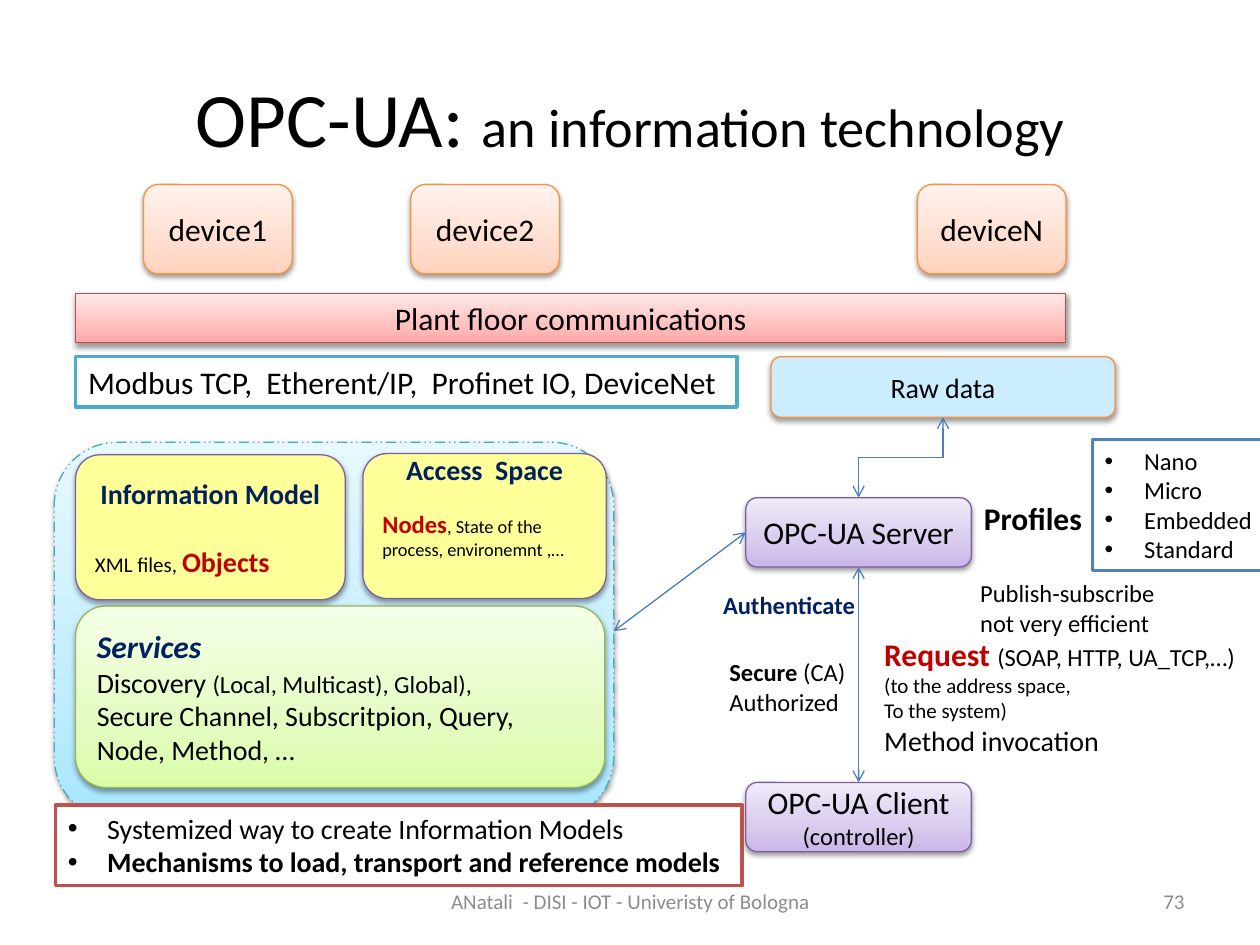
from dataclasses import dataclass

from lxml import etree
from pptx import Presentation
from pptx.dml.color import RGBColor
from pptx.enum.dml import MSO_LINE
from pptx.enum.shapes import MSO_CONNECTOR, MSO_SHAPE
from pptx.enum.text import MSO_ANCHOR, MSO_AUTO_SIZE, PP_ALIGN
from pptx.oxml.ns import qn
from pptx.util import Pt

LEFT, CENTER, RIGHT = PP_ALIGN.LEFT, PP_ALIGN.CENTER, PP_ALIGN.RIGHT
TOP, MIDDLE = MSO_ANCHOR.TOP, MSO_ANCHOR.MIDDLE
ROUNDED, RECTANGLE = MSO_SHAPE.ROUNDED_RECTANGLE, MSO_SHAPE.RECTANGLE
STRAIGHT, ELBOW = MSO_CONNECTOR.STRAIGHT, MSO_CONNECTOR.ELBOW
DASH_DOT_DOT = MSO_LINE.DASH_DOT_DOT
FIT_SHAPE, FIXED_SIZE = MSO_AUTO_SIZE.SHAPE_TO_FIT_TEXT, MSO_AUTO_SIZE.NONE


@dataclass(frozen=True)
class Theme:
    font: str = "Calibri"
    black: str = "000000"
    white: str = "FFFFFF"
    navy: str = "002060"
    red: str = "C00000"
    grey: str = "8C8C8C"
    arrow: str = "4B7EBC"
    orange_line: str = "F69240"
    purple_line: str = "7D60A0"
    sky: str = "CCECFF"
    yellow: str = "FFFF99"
    # Gradients run from the bottom to the top of a box.
    peach: tuple = ("FFD2BD", "FFDED0", "FFF2ED")
    rose: tuple = ("FFA6A5", "FFC0BF", "FFE7E7")
    blue: tuple = ("A7E6FF", "C1EDFF", "E7F8FF")
    purple: tuple = ("C9B5E8", "D8CBEE", "F0EAF9")
    green: tuple = ("DAFDA7", "E4FCC2", "F5FFE7")
    title: float = 44
    subtitle: float = 31
    large: float = 18
    body: float = 16
    small: float = 14
    note: float = 12
    tiny: float = 10.5
    thin: float = 0.75
    thick: float = 2


T = Theme()
GRADIENT_STOPS = (0, 35, 100)
BULLET_INDENT = 22.5
BREAK = ("\v",)

# A run is (text, size, colour, style); a paragraph is a list of runs.
TITLE = [[("OPC-UA: ", T.title), ("an information technology", T.subtitle)]]
DEVICES = [("device1", 82), ("device2", 234.7), ("deviceN", 524.2)]
DEVICE_TOP, DEVICE_SIZE = 105.4, (85, 51.1)
SERVER = (426.2, 284.4, 128.9, 39.6)
CLIENT = (426.2, 447.1, 128.9, 39.6)
RAW_DATA = (440.6, 203.8, 196.6, 34.6)
MODEL_AREA = (31, 252.7, 319.7, 216)

# (box, preset, fill, line colour, paragraphs, extra settings)
BOXES = [
    ((x, DEVICE_TOP, *DEVICE_SIZE), ROUNDED, T.peach, T.orange_line,
     [[(device, T.large)]], {}) for device, x in DEVICES
] + [
    ((43.2, 167.8, 565.9, 28.1), RECTANGLE, T.rose, "BF4C48",
     [[("Plant floor communications", T.large)]], {}),
    (RAW_DATA, ROUNDED, T.sky, T.orange_line, [[("Raw data", T.body)]], {}),
    (MODEL_AREA, ROUNDED, T.blue, "46AAC5", [], {"dash": DASH_DOT_DOT}),
    (SERVER, ROUNDED, T.purple, T.purple_line, [[("OPC-UA Server", T.large)]], {}),
    (CLIENT, ROUNDED, T.purple, T.purple_line,
     [[("OPC-UA Client", T.large)], [("(controller)", T.small)]], {}),
    ((43.2, 346.3, 302.4, 103.7), ROUNDED, T.green, "98B955",
     [[("Services", T.large, T.navy, "bi")],
      [("Discovery ", T.body), ("(Local, Multicast), Global),", T.small)],
      [("Secure Channel, Subscritpion, Query, ", T.body), BREAK,
       ("Node, Method, …", T.body)]],
     {"aligns": [LEFT, LEFT, LEFT]}),
    ((43.2, 259.9, 154.1, 82.8), ROUNDED, T.yellow, T.purple_line,
     [[("Information Model", T.body, T.navy, "b")],
      [("XML files, ", T.note), ("Objects", T.body, T.red, "b")]],
     {"aligns": [CENTER, LEFT], "gap": 19.5}),
    ((207.4, 259.2, 139, 82.8), ROUNDED, T.yellow, T.purple_line,
     [[("Access  Space", T.body, T.navy, "b")],
      [("Nodes", T.small, T.red, "b"),
       (", State of the process, environemnt ,…", T.tiny)]],
     {"aligns": [CENTER, LEFT], "gap": 12.8, "bottom": 25.6}),
]

# (box, paragraphs, frame colour, bulleted)
LABELS = [
    ((43.2, 203.8, 378, 28.8),
     [[("Modbus TCP,  Etherent/IP,  Profinet IO, DeviceNet", T.large)]], "4BACC6", False),
    ((555.1, 281.5, 71.3, 28.8), [[("Profiles", T.large, T.black, "b")]], None, False),
    ((498.2, 359.3, 215.3, 77.8),
     [[("Request ", T.large, T.red, "b"), ("(SOAP, HTTP, UA_TCP,…)", T.small)],
      [("(to the address space,", T.note)],
      [("To the system)", T.note)],
      [("Method invocation", T.body)]], None, False),
    ((553, 326.9, 121.7, 41),
     [[("Publish-subscribe", T.small)], [("not very efficient", T.small)]], None, False),
    ((406.1, 333.4, 90.7, 24.5), [[("Authenticate", T.small, T.navy, "b")]], None, False),
    ((409.7, 372.2, 80.6, 41),
     [[("Secure", T.small, T.black, "b"), (" (CA)", T.small)],
      [("Authorized", T.small)]], None, False),
    ((624.2, 251.3, 99.4, 74.9),
     [[(profile, T.small)] for profile in ("Nano", "Micro", "Embedded", "Standard")],
     "4F81BD", True),
    ((31.7, 460.1, 392.4, 46.1),
     [[("Systemized way to create Information Models", T.body)],
      [("Mechanisms to load, transport and reference models", T.body, T.black, "b")]],
     "C0504D", True),
]
FOOTERS = [
    ((246.2, 500.4, 228.2, 28.8), "ANatali  - DISI - IOT - Univeristy of Bologna", CENTER),
    ((516.2, 500.4, 167.8, 28.8), "73", RIGHT),
]


def points(values):
    return [Pt(value) for value in values]


def style_font(font, size, color=T.black, style=""):
    font.size = Pt(size)
    font.color.rgb = RGBColor.from_string(color)
    font.bold, font.italic = "b" in style, "i" in style


def write(frame, paragraphs, aligns, gap=0, bulleted=False):
    """Fill a text frame; gap is the space above every paragraph but the first."""
    for index, (runs, align) in enumerate(zip(paragraphs, aligns)):
        paragraph = frame.paragraphs[0] if index == 0 else frame.add_paragraph()
        paragraph.alignment = align
        paragraph.font.name = T.font
        if index and gap:
            paragraph.space_before = Pt(gap)
        styles = {tuple(run[1:]) for run in runs if run != BREAK}
        shared = len(styles) == 1
        if shared:
            style_font(paragraph.font, *styles.pop())
        for run in runs:
            if run == BREAK:
                paragraph.add_line_break()
                continue
            piece = paragraph.add_run()
            piece.text = run[0]
            if not shared:
                style_font(piece.font, *run[1:])
        if bulleted:
            properties = paragraph._p.get_or_add_pPr()
            properties.set("marL", str(Pt(BULLET_INDENT)))
            properties.set("indent", str(-Pt(BULLET_INDENT)))
            bullet = etree.Element(qn("a:buChar"), char="•")
            properties.insert(0, bullet)
            bullet.addprevious(etree.Element(qn("a:buFont"), typeface="Arial"))


def paint(shape, fill):
    """Fill with one colour, or with a bottom-to-top gradient of three."""
    if isinstance(fill, str):
        shape.fill.solid()
        shape.fill.fore_color.rgb = RGBColor.from_string(fill)
        return
    shape.fill.gradient()
    shape.fill.gradient_angle = 90
    stops = shape._element.spPr.find(".//" + qn("a:gsLst"))
    for stop in list(stops):
        stops.remove(stop)
    for position, color in zip(GRADIENT_STOPS, fill):
        stop = etree.SubElement(stops, qn("a:gs"), pos=str(position * 1000))
        etree.SubElement(stop, qn("a:srgbClr"), val=color)


def outline(line, color, width):
    line.color.rgb = RGBColor.from_string(color)
    line.width = Pt(width)


def drop_shadow(shape):
    shape.shadow.inherit = False
    effects = shape._element.spPr.find(qn("a:effectLst"))
    shadow = etree.SubElement(effects, qn("a:outerShdw"), blurRad=str(Pt(3.1)),
                              dist=str(Pt(1.6)), dir="5400000", rotWithShape="0")
    color = etree.SubElement(shadow, qn("a:srgbClr"), val=T.black)
    etree.SubElement(color, qn("a:alpha"), val="38000")


def add_box(slide, box, preset, fill, line, paragraphs,
            aligns=None, gap=0, bottom=3.6, dash=None):
    shape = slide.shapes.add_shape(preset, *points(box))
    paint(shape, fill)
    outline(shape.line, line, T.thin)
    if dash:
        shape.line.dash_style = dash
    drop_shadow(shape)
    frame = shape.text_frame
    frame.word_wrap, frame.vertical_anchor = True, MIDDLE
    frame.margin_bottom = Pt(bottom)
    write(frame, paragraphs, aligns or [CENTER] * len(paragraphs), gap)


def add_label(slide, box, paragraphs, border=None, bulleted=False,
              align=LEFT, anchor=TOP, fit=True):
    label = slide.shapes.add_textbox(*points(box))
    if border:
        paint(label, T.white)
        outline(label.line, border, T.thick)
    frame = label.text_frame
    frame.word_wrap, frame.vertical_anchor = not fit, anchor
    frame.auto_size = FIT_SHAPE if fit else FIXED_SIZE
    write(frame, paragraphs, [align] * len(paragraphs), bulleted=bulleted)


def add_arrow(slide, kind, start, end):
    """Draw a two-headed arrow; an elbow leaves its start vertically."""
    if kind == ELBOW:
        (x1, y1), (x2, y2) = start, end
        middle_x, middle_y = (x1 + x2) / 2, (y1 + y2) / 2
        half_w, half_h = abs(y2 - y1) / 2, abs(x2 - x1) / 2
        start = (middle_x + half_w, middle_y + half_h)
        end = (middle_x - half_w, middle_y - half_h)
    arrow = slide.shapes.add_connector(kind, *points((*start, *end)))
    outline(arrow.line, T.arrow, T.thin)
    properties = arrow._element.spPr
    if kind == ELBOW:
        properties.find(qn("a:xfrm")).set("rot", "5400000")
    for tip in ("a:headEnd", "a:tailEnd"):
        etree.SubElement(properties.find(qn("a:ln")), qn(tip), type="arrow")
    etree.SubElement(properties, qn("a:effectLst"))


def anchor_point(box, across, down):
    left, top, width, height = box
    return left + width * across, top + height * down


def main():
    deck = Presentation()
    deck.slide_width, deck.slide_height = Pt(720), Pt(540)
    slide = deck.slides.add_slide(deck.slide_layouts[5])
    title = slide.shapes.title
    title.left, title.top, title.width, title.height = points((36, 21.6, 648, 90))
    title.text_frame.vertical_anchor = MIDDLE
    write(title.text_frame, TITLE, [CENTER])

    for *box, extra in BOXES:
        add_box(slide, *box, **extra)
    for label in LABELS:
        add_label(slide, *label)
    for box, text, align in FOOTERS:
        add_label(slide, box, [[(text, T.note, T.grey)]],
                  align=align, anchor=MIDDLE, fit=False)

    server_bottom = anchor_point(SERVER, 0.5, 1)
    add_arrow(slide, STRAIGHT, anchor_point(CLIENT, 0.5, 0), server_bottom)
    add_arrow(slide, ELBOW, anchor_point(SERVER, 0.5, 0), anchor_point(RAW_DATA, 0.5, 1))
    add_arrow(slide, STRAIGHT, anchor_point(SERVER, 0, 0.5), anchor_point(MODEL_AREA, 1, 0.5))
    deck.save("out.pptx")


if __name__ == "__main__":
    main()
